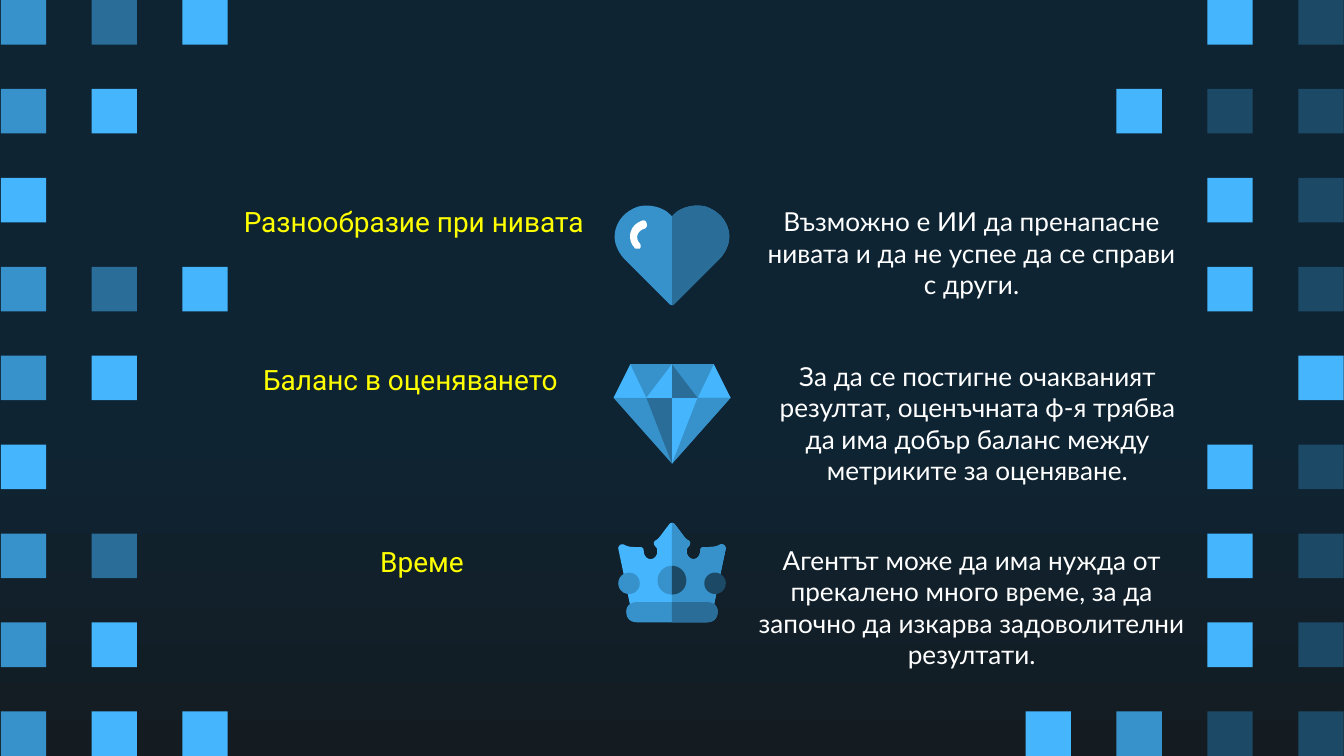
from pptx import Presentation
from pptx.dml.color import RGBColor
from pptx.enum import shapes, text
from pptx.util import Pt

COLORS = {
    "night": "0E2433", "ink": "141C21",
    "L": "45B6FE", "M": "3792CB", "D": "296D98", "N": "1C4966",
    "title": "FFFF00", "white": "FFFFFF",
}

# One letter per square, "." for a gap
LEFT_GRID = ["MDL", "ML.", "L..", "MDL", "ML.", "L..", "MD.", "ML.", "MLL"]
RIGHT_GRID = ["..LN", ".LNN", "..LN", "..LN", "...L", "..LN", "..LN", "..LN", "LMNN"]

# Icon outlines: x from the centre line, y from the top, on a field 74 units high.
# Pairs are line points, sixes are Bezier curves.
ICON_UNITS = 74
HEART_HALF = [
    (0, 8), (3, 5), (7, 2, 13, 0, 18, 0), (21, 0, 23, 0, 26, 1),
    (34, 4, 40, 10, 42, 18), (44, 26, 41, 33, 36, 39), (2, 73), (1, 74, 1, 74, 0, 74),
]
HEART_SHINE = [
    (-21, 11), (-22, 11, -22, 11, -22, 11), (-33, 15, -33, 26, -28, 31),
    (-28, 32, -27, 32, -26, 32), (-26, 32, -25, 32, -24, 32),
    (-23, 31, -23, 29, -24, 28), (-27, 25, -27, 19, -20, 17),
    (-19, 16, -18, 15, -19, 13), (-19, 12, -20, 11, -21, 11),
]
CROWN_HALF = [
    (0, 0), (1, 0, 2, 1, 2, 1), (9, 10, 9, 11, 12, 13), (14, 14, 14, 16, 12, 18),
    (11, 19, 11, 20, 11, 22), (11, 24, 13, 27, 16, 27), (19, 27, 21, 24, 21, 21),
    (21, 19, 22, 18, 24, 18), (25, 18, 26, 18, 27, 18), (30, 18, 33, 18, 36, 16),
    (36, 16, 37, 16, 37, 16), (39, 16, 40, 18, 40, 19), (31, 62), (0, 62),
]
GEM_HALF = [(0, 32), (6, 32, 10.7, 37, 10.7, 43), (10.7, 49, 6, 53.4, 0, 53.4)]
BASE_HALF = [(0, 59), (26, 59), (31, 59, 34, 62, 34, 66), (34, 71, 31, 74, 26, 74), (0, 74)]
DIAMOND_FACETS = [
    ([(0, 0), (31, 0), (43.5, 25), (0, 25)], "L", "L"),
    ([(0, 25), (43.5, 25), (0, 74)], "M", "M"),
    ([(0, 25), (19, 25), (0, 74)], "D", "L"),
    ([(0, 0), (31, 0), (19, 25), (0, 25)], "M", "M"),
    ([(0, 0), (19, 25), (0, 25)], "L", "D"),
]


def rgb(name):
    return RGBColor.from_string(COLORS[name])


def paint(sp, color):
    sp.shadow.inherit = False
    sp.fill.solid()
    sp.fill.fore_color.rgb = rgb(color)
    sp.line.fill.background()


def flatten(path, steps=10):
    """Turn lines and Bezier curves into a list of points."""
    points = [path[0]]
    for seg in path[1:]:
        if len(seg) == 2:
            points.append(seg)
            continue
        ends = [points[-1], seg[:2], seg[2:4], seg[4:]]
        for i in range(1, steps + 1):
            t = i / steps
            weights = ((1 - t) ** 3, 3 * t * (1 - t) ** 2, 3 * t * t * (1 - t), t ** 3)
            points.append(tuple(sum(w * e[k] for w, e in zip(weights, ends)) for k in (0, 1)))
    return points


class Icon:
    """A group drawn in icon units inside a box."""

    def __init__(self, slide, box):
        x, y, w, h = box
        self.shapes = slide.shapes.add_group_shape().shapes
        self.cx, self.top, self.unit = x + w / 2, y, h / ICON_UNITS

    def place(self, x, y):
        return Pt(self.cx + x * self.unit), Pt(self.top + y * self.unit)

    def outline(self, points, color):
        pts = [self.place(*point) for point in points]
        builder = self.shapes.build_freeform(*pts[0], scale=1.0)
        builder.add_line_segments(pts[1:], close=True)
        paint(builder.convert_to_shape(), color)

    def two_tone(self, half, left, right):
        """Draw the mirrored whole, then its right half on top."""
        points = flatten(half)
        mirrored = [(-x, y) for x, y in reversed(points)]
        self.outline(points + mirrored, left)
        self.outline(points, right)

    def disc(self, x, y, d, color):
        size = Pt(d * self.unit)
        paint(self.shapes.add_shape(shapes.MSO_SHAPE.OVAL, *self.place(x, y), size, size), color)


def heart(slide, box):
    icon = Icon(slide, box)
    icon.two_tone(HEART_HALF, "M", "D")
    icon.outline(flatten(HEART_SHINE), "white")


def diamond(slide, box):
    icon = Icon(slide, box)
    for facet in DIAMOND_FACETS:
        icon.two_tone(*facet)


def crown(slide, box):
    icon = Icon(slide, box)
    icon.two_tone(CROWN_HALF, "L", "M")
    icon.two_tone(GEM_HALF, "M", "N")
    icon.disc(-40, 37, 16, "M")
    icon.disc(24, 37, 16, "N")
    icon.two_tone(BASE_HALF, "M", "D")


def background(slide):
    fill = slide.background.fill
    fill.gradient()
    fill.gradient_angle = 270
    for stop, position, color in zip(fill.gradient_stops, (0.56, 1), ("night", "ink")):
        stop.position = position
        stop.color.rgb = rgb(color)


def square_grid(slide, box, rows):
    """Spread squares evenly so the outer ones touch the box edges."""
    x, y, w, h = box
    side_w, side_h = 24.3, 23.9
    dx = (w - side_w) / (len(rows[0]) - 1)
    dy = (h - side_h) / (len(rows) - 1)
    for i, row in enumerate(rows):
        for j, color in enumerate(row):
            if color != ".":
                sp = slide.shapes.add_shape(
                    shapes.MSO_SHAPE.RECTANGLE, Pt(x + j * dx), Pt(y + i * dy),
                    Pt(side_w), Pt(side_h))
                paint(sp, color)


def label(slide, box, words, font, size, color):
    tf = slide.shapes.add_textbox(*map(Pt, box)).text_frame
    tf.word_wrap = True
    tf.margin_left = tf.margin_right = tf.margin_top = tf.margin_bottom = Pt(7.2)
    tf.text = words
    p = tf.paragraphs[0]
    p.alignment = text.PP_ALIGN.CENTER
    f = p.runs[0].font
    f.name, f.size, f.color.rgb = font, Pt(size), rgb(color)


def challenge(slide, title, title_box, draw_icon, icon_box, body, body_box):
    label(slide, title_box, title, "Roboto", 15, "title")
    draw_icon(slide, icon_box)
    label(slide, body_box, body, "Lato", 14, "white")


def main():
    prs = Presentation()
    prs.slide_width, prs.slide_height = Pt(720), Pt(405)
    slide = prs.slides.add_slide(prs.slide_layouts[6])
    background(slide)

    # Pixel squares on both sides
    square_grid(slide, (0.5, 0, 121.5, 405), LEFT_GRID)
    square_grid(slide, (549.4, 0, 170.4, 405), RIGHT_GRID)

    # Three challenges: title, icon, explanation
    challenge(slide, "Разнообразие при нивата", (123.1, 102.2, 197.3, 30.2),
              heart, (328.7, 110.2, 62.6, 53.3),
              "Възможно е ИИ да пренапасне нивата и да не успее да се справи с други.",
              (403.9, 103, 233.3, 53.3))
    challenge(slide, "Баланс в оценяването", (123.1, 187.2, 193.7, 30.2),
              diamond, (328.7, 195.1, 62.6, 53.3),
              "За да се постигне очакваният резултат, оценъчната ф-я трябва да има "
              "добър баланс между метриките за оценяване.",
              (404.6, 185.8, 238.3, 75.6))
    challenge(slide, "Време", (146.9, 284.4, 158.4, 30.2),
              crown, (328.7, 280.1, 62.6, 53.3),
              "Агентът може да има нужда от прекалено много време, за да започно "
              "да изкарва задоволителни резултати.",
              (398.2, 284.4, 244.8, 53.3))
    prs.save("out.pptx")


if __name__ == "__main__":
    main()
